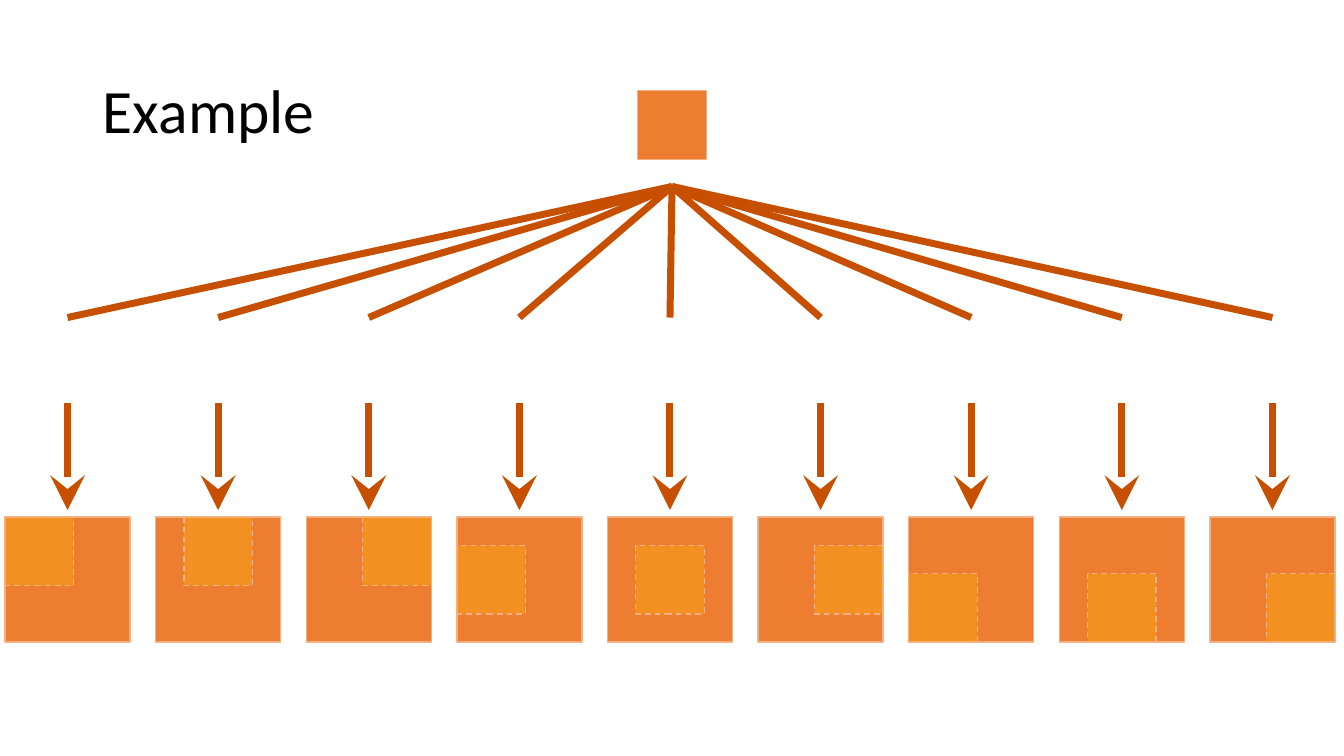
from pptx import Presentation
from pptx import util as u
from pptx.dml.color import RGBColor
from pptx.enum import dml, shapes, text
from pptx.oxml.ns import qn
from lxml import etree

BLACK = RGBColor(0x00, 0x00, 0x00)
ORANGE = RGBColor(0xED, 0x7D, 0x31)
PALE_ORANGE = RGBColor(0xF3, 0xB0, 0x82)
DARK_ORANGE = RGBColor(0xC6, 0x4F, 0x00)
GOLD = RGBColor(0xFF, 0xC0, 0x00)

SLIDE_W, SLIDE_H = 13.33, 7.5
GRID = 3                            # positions of the window, per row and column
COUNT = GRID * GRID
TILE, WINDOW = 1.24, 0.68
FIRST_LEFT, LAST_LEFT = 0.05, 12.0
PITCH = (LAST_LEFT - FIRST_LEFT) / (COUNT - 1)
STEP = (TILE - WINDOW) / (GRID - 1)
TILE_TOP = 5.13
FAN_TOP, FAN_BOTTOM = 1.85, 3.15
ARROW_TOP, ARROW_BOTTOM = 4.0, 5.06


def add_title(page, wording):
    title = page.shapes.title
    title.left, title.top = u.Inches(0.92), u.Inches(0.4)
    title.width, title.height = u.Inches(11.5), u.Inches(1.45)
    frame = title.text_frame
    frame.text = wording
    frame.vertical_anchor = text.MSO_ANCHOR.MIDDLE
    para = frame.paragraphs[0]
    para.alignment = text.PP_ALIGN.LEFT
    para.line_spacing = 0.9
    para.font.name = "Calibri"
    para.font.size = u.Pt(44)
    para.font.color.rgb = BLACK


def add_square(parent, left, top, side, fill=ORANGE):
    square = parent.shapes.add_shape(
        shapes.MSO_SHAPE.RECTANGLE, u.Inches(left), u.Inches(top),
        u.Inches(side), u.Inches(side))
    square.shadow.inherit = False
    square.fill.solid()
    square.fill.fore_color.rgb = fill
    square.line.color.rgb = PALE_ORANGE
    square.line.width = u.Pt(1)
    return square


def add_window(parent, left, top):
    """Dashed, see-through square that marks one part of a tile."""
    window = add_square(parent, left, top, WINDOW, GOLD)
    window.line.dash_style = dml.MSO_LINE.DASH
    color = window.fill._xPr.find(qn("a:solidFill"))[0]
    etree.SubElement(color, qn("a:alpha"), val="30000")


def add_tile(page, index):
    row, column = divmod(index, GRID)
    left = FIRST_LEFT + index * PITCH
    group = page.shapes.add_group_shape()
    add_square(group, left, TILE_TOP, TILE)
    add_window(group, left + column * STEP, TILE_TOP + row * STEP)


def add_line(page, x1, y1, x2, y2, arrow=False):
    line = page.shapes.add_connector(
        shapes.MSO_CONNECTOR.STRAIGHT, u.Inches(x1), u.Inches(y1),
        u.Inches(x2), u.Inches(y2))
    line.line.color.rgb = DARK_ORANGE
    line.line.width = u.Pt(5)
    if arrow:
        etree.SubElement(line.line._get_or_add_ln(), qn("a:tailEnd"),
                         type="stealth", w="lg", len="lg")
    etree.SubElement(line._element.spPr, qn("a:effectLst"))


def main():
    deck = Presentation()
    deck.slide_width, deck.slide_height = u.Inches(SLIDE_W), u.Inches(SLIDE_H)
    page = deck.slides.add_slide(deck.slide_layouts[5])
    add_title(page, "Example")

    middle = SLIDE_W / 2
    for index in range(COUNT):
        center = FIRST_LEFT + TILE / 2 + index * PITCH
        add_line(page, center, ARROW_TOP, center, ARROW_BOTTOM, arrow=True)
        add_line(page, middle, FAN_TOP, center, FAN_BOTTOM)

    add_square(page, middle - WINDOW / 2, 0.9, WINDOW)
    for index in range(COUNT):
        add_tile(page, index)
    deck.save("out.pptx")


if __name__ == "__main__":
    main()
